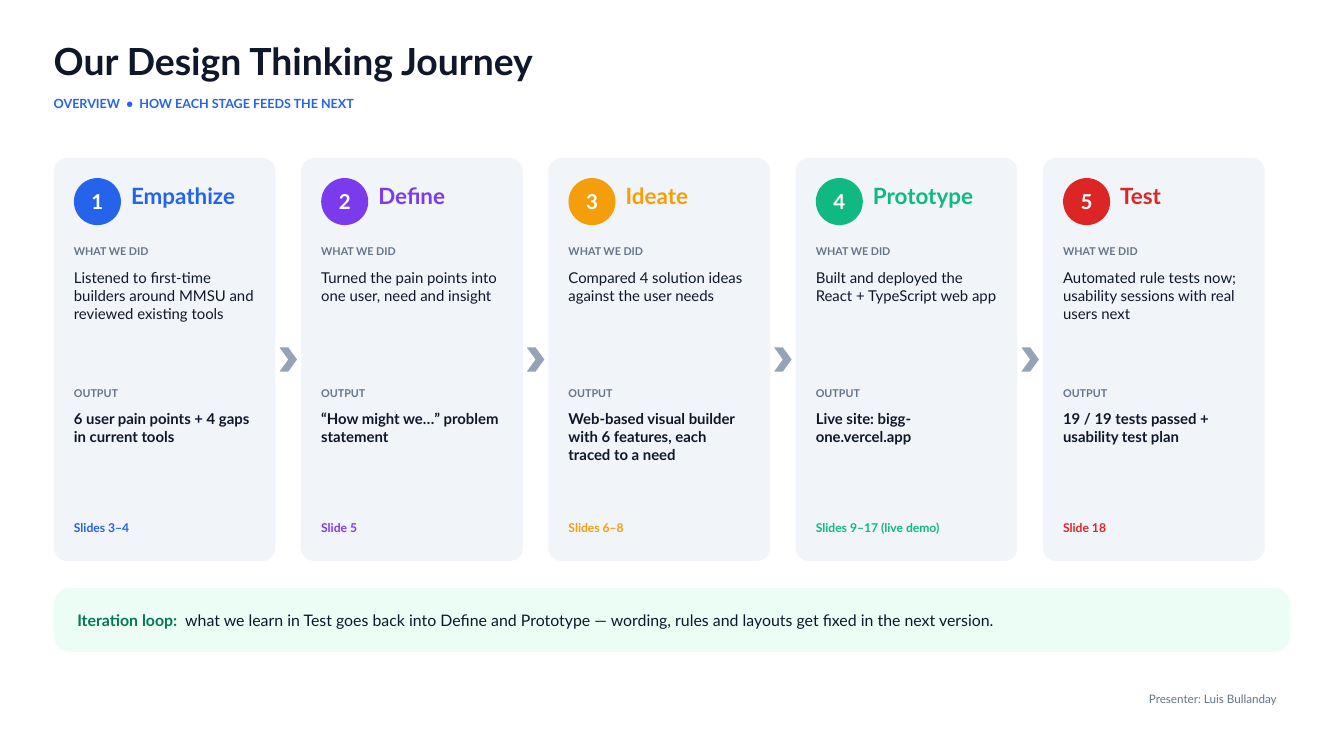
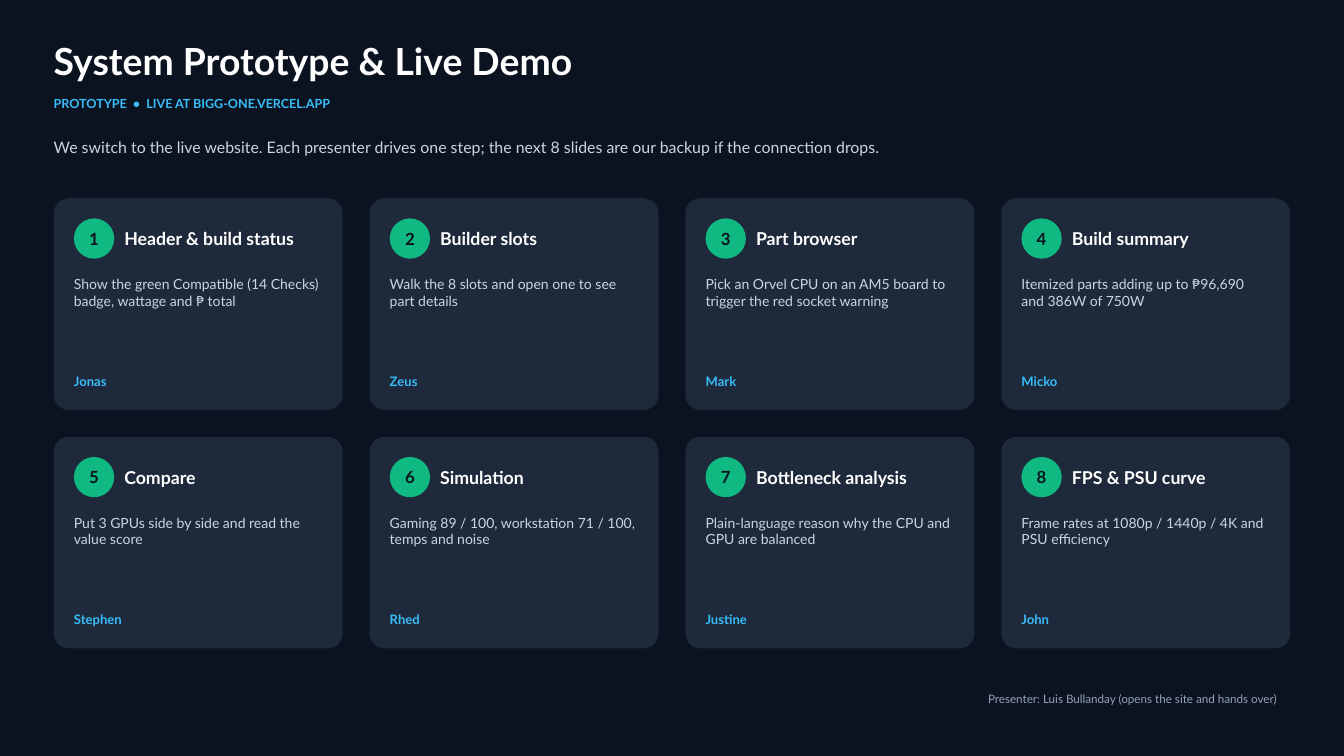
from dataclasses import dataclass

from pptx import Presentation
from pptx.dml.color import RGBColor
from pptx.enum.shapes import MSO_SHAPE
from pptx.enum.text import MSO_ANCHOR, MSO_AUTO_SIZE, PP_ALIGN
from pptx.util import Emu, Pt


@dataclass(frozen=True)
class Theme:
    font: str = "Lato"
    white: str = "FFFFFF"
    night: str = "0B1220"
    ink: str = "0F172A"
    slate: str = "64748B"
    silver: str = "94A3B8"
    mist: str = "CBD5E1"
    light_card: str = "F1F5F9"
    dark_card: str = "1E293B"
    mint: str = "ECFDF5"
    forest: str = "047857"
    sky: str = "38BDF8"
    blue: str = "2563EB"
    violet: str = "7C3AED"
    amber: str = "F59E0B"
    green: str = "10B981"
    red: str = "DC2626"
    title_size: float = 40
    subtitle_size: float = 13.5
    lead_size: float = 17
    footer_size: float = 12.5
    stage_size: float = 24
    stage_number_size: float = 22
    label_size: float = 11.5
    stage_body_size: float = 16
    reference_size: float = 13
    step_size: float = 19
    step_number_size: float = 18
    step_body_size: float = 15
    presenter_size: float = 14


theme = Theme()
PX = 9144
MARGIN = 80
PADDING = 30


def add_shape(slide, kind, left, top, width, height, color, corner=None):
    shape = slide.shapes.add_shape(kind, *(Emu(n * PX) for n in (left, top, width, height)))
    shape.shadow.inherit = False
    shape.fill.solid()
    shape.fill.fore_color.rgb = RGBColor.from_string(color)
    shape.line.fill.background()
    if corner is not None:
        shape.adjustments[0] = corner
    return shape


def add_text(slide, box, runs, size, align=PP_ALIGN.LEFT, anchor=MSO_ANCHOR.TOP, shape=None):
    if shape is None:
        shape = slide.shapes.add_textbox(*(Emu(n * PX) for n in box))
        shape.text_frame.auto_size = MSO_AUTO_SIZE.SHAPE_TO_FIT_TEXT
    frame = shape.text_frame
    frame.word_wrap = True
    frame.vertical_anchor = anchor
    frame.margin_left = frame.margin_right = frame.margin_top = frame.margin_bottom = 0
    paragraph = frame.paragraphs[0]
    paragraph.alignment = align
    for text, color, bold in runs:
        run = paragraph.add_run()
        run.text = text
        run.font.name = theme.font
        run.font.size = Pt(size)
        run.font.bold = bold
        run.font.color.rgb = RGBColor.from_string(color)


presentation = Presentation()
presentation.slide_width = Emu(2000 * PX)
presentation.slide_height = Emu(1125 * PX)

headers = [
    ("Our Design Thinking Journey", theme.ink,
     "OVERVIEW  •  HOW EACH STAGE FEEDS THE NEXT", theme.blue, theme.white),
    ("System Prototype & Live Demo", theme.white,
     "PROTOTYPE  •  LIVE AT BIGG-ONE.VERCEL.APP", theme.sky, theme.night),
]
for title, title_color, subtitle, subtitle_color, background in headers:
    slide = presentation.slides.add_slide(presentation.slide_layouts[6])
    slide.background.fill.solid()
    slide.background.fill.fore_color.rgb = RGBColor.from_string(background)
    add_text(slide, (MARGIN, 57, 1820, 80), [(title, title_color, True)], theme.title_size)
    add_text(slide, (MARGIN, 143, 1000, 30), [(subtitle, subtitle_color, True)], theme.subtitle_size)

journey, demo = presentation.slides

stages = [
    ("Empathize", theme.blue, "Listened to first-time builders around MMSU and reviewed existing tools",
     "6 user pain points + 4 gaps in current tools", "Slides 3–4"),
    ("Define", theme.violet, "Turned the pain points into one user, need and insight",
     "“How might we…” problem statement", "Slide 5"),
    ("Ideate", theme.amber, "Compared 4 solution ideas against the user needs",
     "Web-based visual builder with 6 features, each traced to a need", "Slides 6–8"),
    ("Prototype", theme.green, "Built and deployed the React + TypeScript web app",
     "Live site: bigg-one.vercel.app", "Slides 9–17 (live demo)"),
    ("Test", theme.red, "Automated rule tests now; usability sessions with real users next",
     "19 / 19 tests passed + usability test plan", "Slide 18"),
]
STAGE_WIDTH, STAGE_GAP = 330, 38
for index, (name, color, work, output, reference) in enumerate(stages):
    left = MARGIN + index * (STAGE_WIDTH + STAGE_GAP)
    inner = left + PADDING
    add_shape(journey, MSO_SHAPE.ROUNDED_RECTANGLE, left, 235, STAGE_WIDTH, 600, theme.light_card, 0.06)
    badge = add_shape(journey, MSO_SHAPE.OVAL, inner, 265, 70, 70, color)
    add_text(journey, None, [(str(index + 1), theme.white, True)], theme.stage_number_size,
             PP_ALIGN.CENTER, MSO_ANCHOR.MIDDLE, badge)
    add_text(journey, (inner + 85, 271, 200, 60), [(name, color, True)], theme.stage_size)
    for top, height, text, text_color, bold, size in [
        (365, 30, "WHAT WE DID", theme.slate, True, theme.label_size),
        (400, 160, work, theme.ink, False, theme.stage_body_size),
        (575, 30, "OUTPUT", theme.slate, True, theme.label_size),
        (610, 140, output, theme.ink, True, theme.stage_body_size),
        (775, 35, reference, color, True, theme.reference_size),
    ]:
        add_text(journey, (inner, top, STAGE_WIDTH - 2 * PADDING, height),
                 [(text, text_color, bold)], size)
    if index < len(stages) - 1:
        add_shape(journey, MSO_SHAPE.CHEVRON, left + STAGE_WIDTH + 6, 517, 26, 36, theme.silver)

add_shape(journey, MSO_SHAPE.ROUNDED_RECTANGLE, MARGIN, 875, 1840, 95, theme.mint, 0.25)
add_text(journey, (115, 875, 1780, 95), [
    ("Iteration loop:  ", theme.forest, True),
    ("what we learn in Test goes back into Define and Prototype — "
     "wording, rules and layouts get fixed in the next version.", theme.ink, False),
], theme.lead_size, anchor=MSO_ANCHOR.MIDDLE)

add_text(demo, (MARGIN, 205, 1840, 50), [
    ("We switch to the live website. Each presenter drives one step; "
     "the next 8 slides are our backup if the connection drops.", theme.mist, False),
], theme.lead_size)

steps = [
    ("Header & build status", "Show the green Compatible (14 Checks) badge, wattage and ₱ total", "Jonas"),
    ("Builder slots", "Walk the 8 slots and open one to see part details", "Zeus"),
    ("Part browser", "Pick an Orvel CPU on an AM5 board to trigger the red socket warning", "Mark"),
    ("Build summary", "Itemized parts adding up to ₱96,690 and 386W of 750W", "Micko"),
    ("Compare", "Put 3 GPUs side by side and read the value score", "Stephen"),
    ("Simulation", "Gaming 89 / 100, workstation 71 / 100, temps and noise", "Rhed"),
    ("Bottleneck analysis", "Plain-language reason why the CPU and GPU are balanced", "Justine"),
    ("FPS & PSU curve", "Frame rates at 1080p / 1440p / 4K and PSU efficiency", "John"),
]
STEP_COLUMNS, STEP_WIDTH, STEP_HEIGHT, STEP_GAP = 4, 430, 315, 40
for index, (name, action, presenter) in enumerate(steps):
    row, column = divmod(index, STEP_COLUMNS)
    left = MARGIN + column * (STEP_WIDTH + STEP_GAP)
    top = 295 + row * (STEP_HEIGHT + STEP_GAP)
    inner = left + PADDING
    inner_width = STEP_WIDTH - 2 * PADDING
    add_shape(demo, MSO_SHAPE.ROUNDED_RECTANGLE, left, top, STEP_WIDTH, STEP_HEIGHT, theme.dark_card, 0.07)
    badge = add_shape(demo, MSO_SHAPE.OVAL, inner, top + PADDING, 60, 60, theme.green)
    add_text(demo, None, [(str(index + 1), theme.night, True)], theme.step_number_size,
             PP_ALIGN.CENTER, MSO_ANCHOR.MIDDLE, badge)
    add_text(demo, (inner + 75, top + PADDING, 305, 60), [(name, theme.white, True)],
             theme.step_size, anchor=MSO_ANCHOR.MIDDLE)
    add_text(demo, (inner, top + 115, inner_width, 130), [(action, theme.mist, False)], theme.step_body_size)
    add_text(demo, (inner, top + 260, inner_width, 35), [(presenter, theme.sky, True)], theme.presenter_size)

footers = [
    (journey, "Presenter: Luis Bullanday", theme.slate),
    (demo, "Presenter: Luis Bullanday (opens the site and hands over)", theme.silver),
]
for slide, text, color in footers:
    add_text(slide, (1050, 1030, 850, 40), [(text, color, False)], theme.footer_size, PP_ALIGN.RIGHT)

presentation.save("out.pptx")
